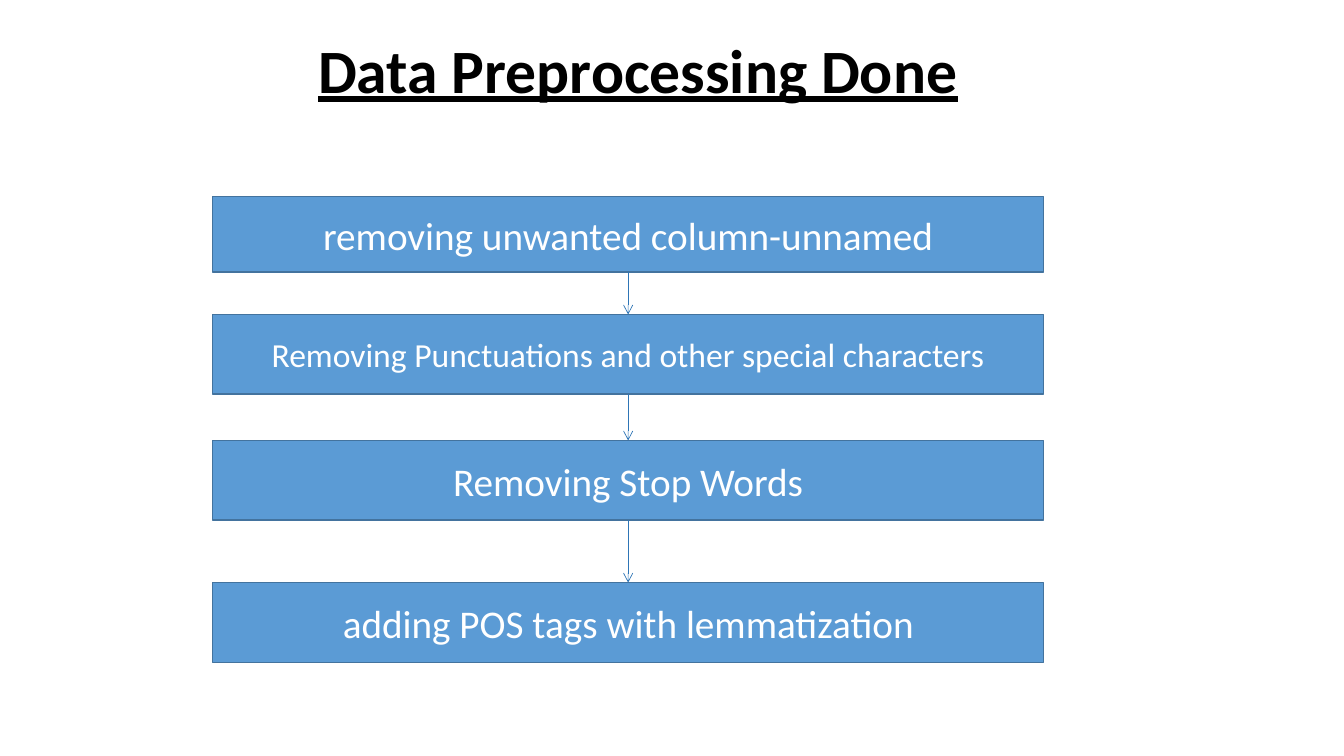
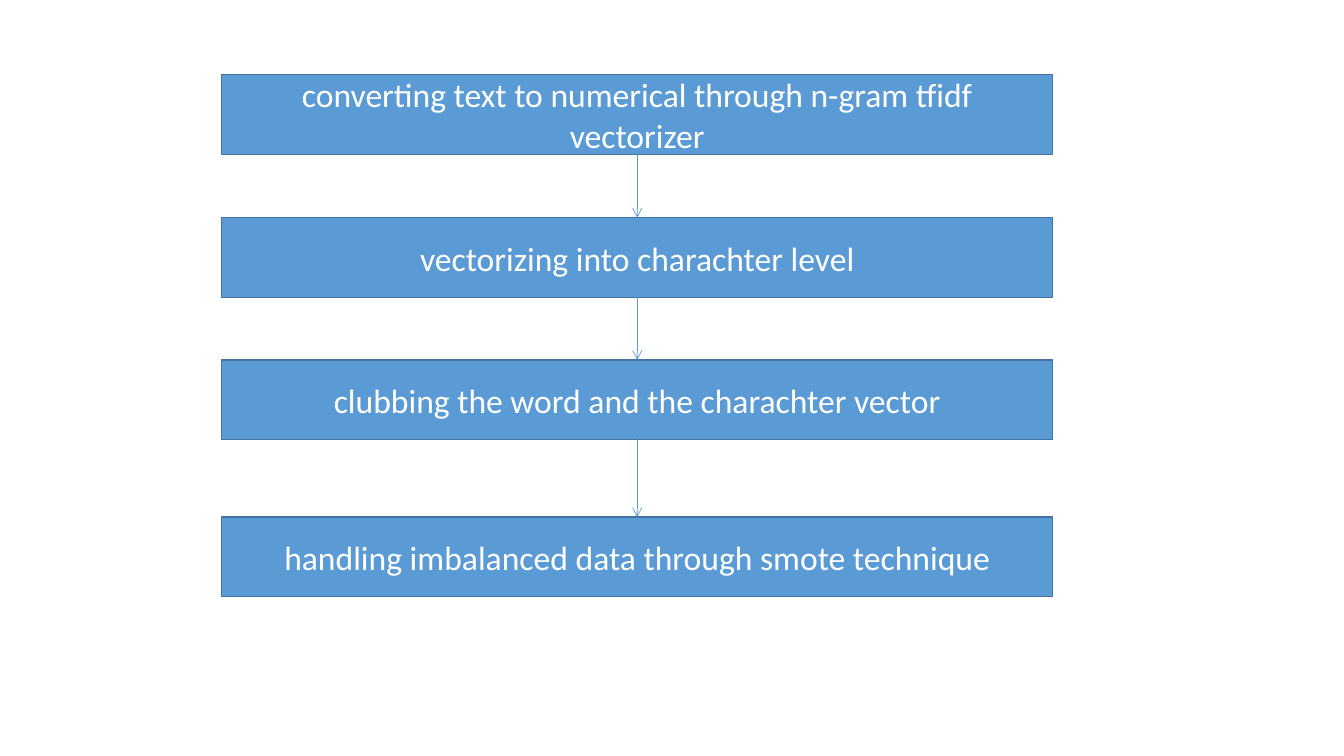
import dataclasses
import itertools

import lxml.etree
import pptx
import pptx.dml.color
import pptx.enum.shapes
import pptx.enum.text
import pptx.oxml.ns
import pptx.util

Inches = pptx.util.Inches


@dataclasses.dataclass(frozen=True)
class Theme:
    font: str = "Calibri"
    black: str = "000000"
    white: str = "FFFFFF"
    blue: str = "5B9BD5"
    edge: str = "43739E"
    deep: str = "2E75B6"
    head: int = 44
    large: int = 28
    small: int = 24
    rim: float = 1
    thin: float = 0.5


@dataclasses.dataclass(frozen=True)
class Box:
    left: float
    top: float
    width: float
    height: float

    def place(self):
        return [Inches(n) for n in (self.left, self.top, self.width, self.height)]


@dataclasses.dataclass(frozen=True)
class Step:
    text: str
    drop: float
    size: int
    height: float = 0.79


THEME = Theme()


def tint(code):
    return pptx.dml.color.RGBColor.from_string(code)


def write(shape, text, size, color):
    frame = shape.text_frame
    frame.text = text
    frame.word_wrap = True
    frame.vertical_anchor = pptx.enum.text.MSO_ANCHOR.MIDDLE
    line = frame.paragraphs[0]
    line.alignment = pptx.enum.text.PP_ALIGN.CENTER
    font = line.runs[0].font
    font.name = THEME.font
    font.size = pptx.util.Pt(size)
    font.color.rgb = tint(color)
    return line


def title(slide, box, text):
    shape = slide.shapes.add_textbox(*box.place())
    line = write(shape, text, THEME.head, THEME.black)
    line.line_spacing = 0.9
    font = line.runs[0].font
    font.bold = True
    font.underline = True


def panel(slide, box, step):
    kind = pptx.enum.shapes.MSO_SHAPE.RECTANGLE
    shape = slide.shapes.add_shape(kind, *box.place())
    shape.shadow.inherit = False
    shape.fill.solid()
    shape.fill.fore_color.rgb = tint(THEME.blue)
    shape.line.color.rgb = tint(THEME.edge)
    shape.line.width = pptx.util.Pt(THEME.rim)
    write(shape, step.text, step.size, THEME.white)
    return shape


def arrow(slide, start, end, color):
    kind = pptx.enum.shapes.MSO_CONNECTOR.STRAIGHT
    link = slide.shapes.add_connector(kind, 0, 0, 0, 0)
    link.begin_connect(start, 2)
    link.end_connect(end, 0)
    link.line.color.rgb = tint(color)
    link.line.width = pptx.util.Pt(THEME.thin)
    name = pptx.oxml.ns.qn
    edge = link.line._get_or_add_ln()
    lxml.etree.SubElement(edge, name("a:tailEnd"), type="arrow")
    lxml.etree.SubElement(link._element.spPr, name("a:effectLst"))


def flow(slide, box, steps, color):
    panels = [
        panel(slide, Box(box.left, box.top + step.drop, box.width, step.height), step)
        for step in steps
    ]
    for start, end in itertools.pairwise(panels):
        arrow(slide, start, end, color)


def main():
    deck = pptx.Presentation()
    deck.slide_width = Inches(13.33)
    deck.slide_height = Inches(7.5)
    blank = deck.slide_layouts[6]

    clean = deck.slides.add_slide(blank)
    title(clean, Box(0.58, 0, 11.5, 1.45), "Data Preprocessing Done")
    flow(clean, Box(2.11, 1.95, 8.24, 4.62), [
        Step("removing unwanted column-unnamed", 0, THEME.large, 0.75),
        Step("Removing Punctuations and other special characters", 1.17, THEME.small),
        Step("Removing Stop Words", 2.42, THEME.large),
        Step("adding POS tags with lemmatization", 3.83, THEME.large),
    ], THEME.deep)

    vector = deck.slides.add_slide(blank)
    flow(vector, Box(2.2, 0.74, 8.24, 5.18), [
        Step("converting text to numerical through n-gram tfidf vectorizer", 0, THEME.small),
        Step("vectorizing into charachter level", 1.42, THEME.small),
        Step("clubbing the word and the charachter vector", 2.83, THEME.small),
        Step("handling imbalanced data through smote technique", 4.39, THEME.small),
    ], THEME.blue)

    deck.save("out.pptx")


if __name__ == "__main__":
    main()
